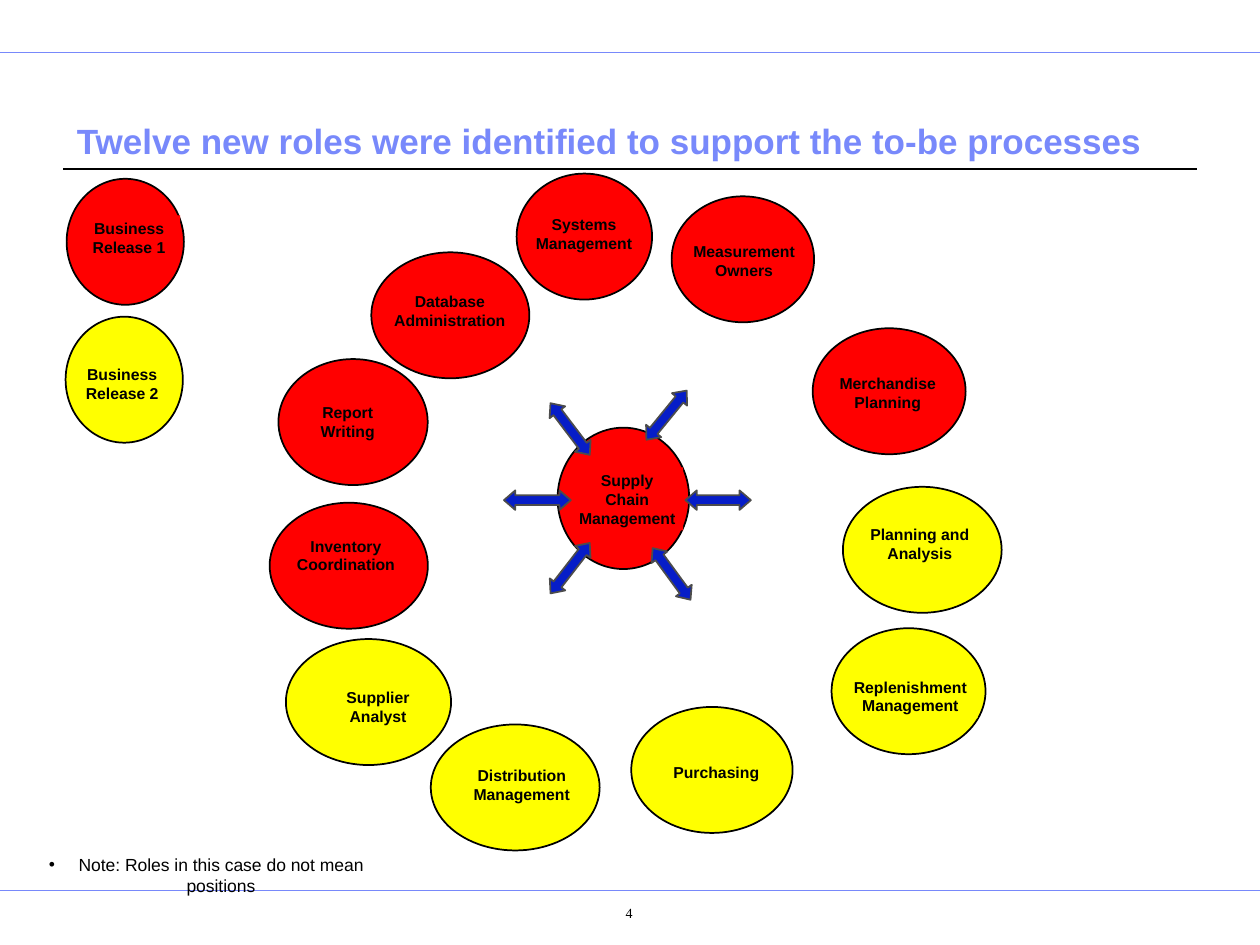
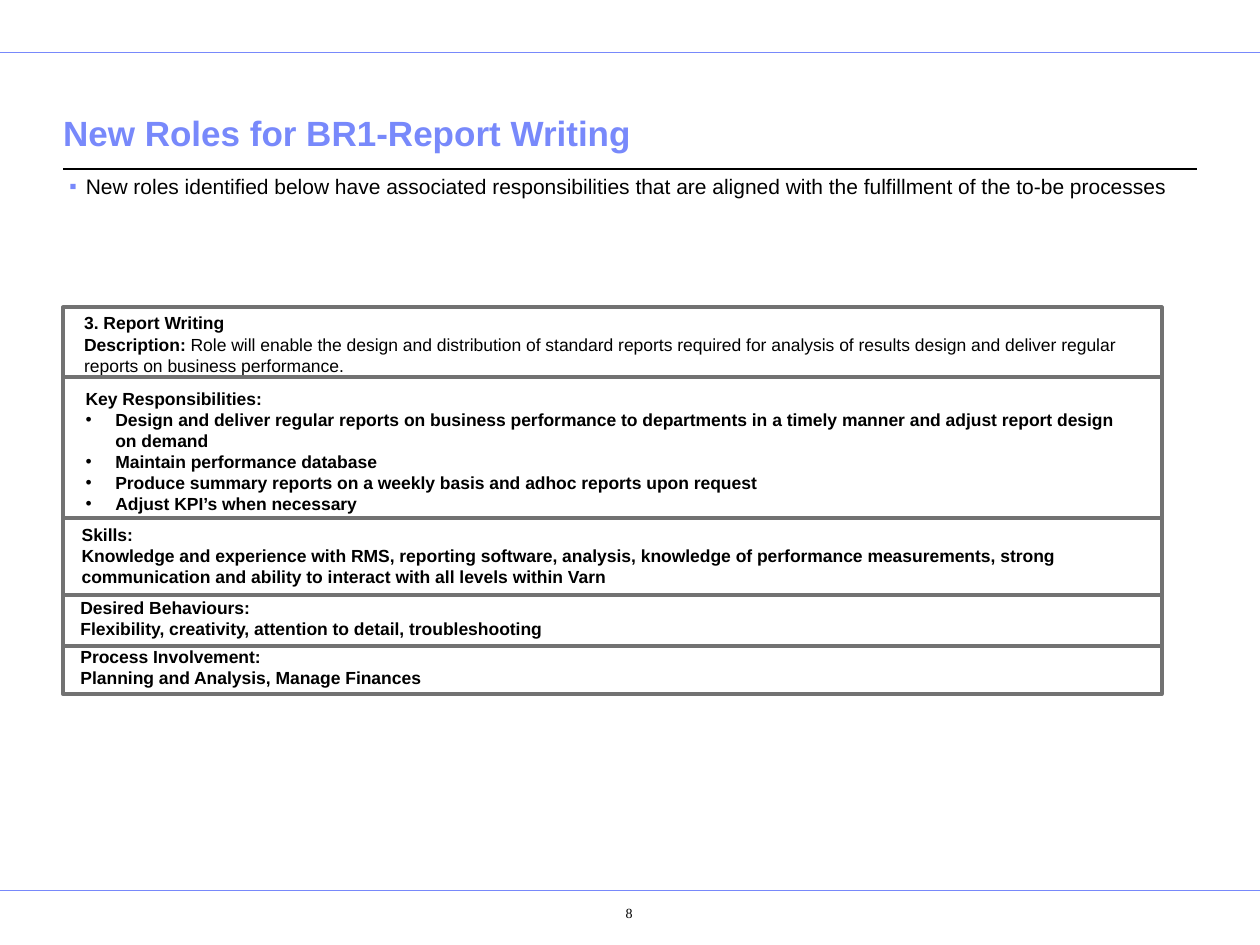
import math
from dataclasses import dataclass

import pptx
import pptx.dml.color
import pptx.enum.shapes
import pptx.enum.text
import pptx.oxml.ns
import pptx.util
from lxml import etree

Pt = pptx.util.Pt
ALIGN = pptx.enum.text.PP_ALIGN
ANCHOR = pptx.enum.text.MSO_ANCHOR
SHAPES = pptx.enum.shapes.MSO_SHAPE


@dataclass(frozen=True)
class Theme:
    accent: str = "7889FB"
    ink: str = "000000"
    release_1: str = "FF0000"
    release_2: str = "FFFF00"
    arrow: str = "061DC8"
    arrow_edge: str = "4C4C4C"
    panel_edge: str = "727272"
    font: str = "Arial"
    number_font: str = "Times New Roman"
    title_size: float = 20
    body_size: float = 12
    text_size: float = 10
    label_size: float = 9
    number_size: float = 8


THEME = Theme()
BULLET_INDENT = 17
LABEL_INSETS = (3.6, 1.8, 3.6, 1.8)
TEXT_INSETS = (7.2, 3.6, 7.2, 3.6)

# name, release colour, ellipse (left, top, width), label (left, top, width)
ROLES = [
    ("Measurement Owners", THEME.release_1, (383.8, 112.2, 81.4), (391.7, 136.1, 67)),
    ("Distribution Management", THEME.release_2, (246.2, 414, 96.5), (266.4, 435.6, 63.4)),
    ("Planning and Analysis", THEME.release_2, (481.7, 278.2, 90.7), (492.5, 298.1, 66.2)),
    ("Replenishment Management", THEME.release_2, (475.2, 359, 88), (481.7, 385.2, 77)),
    ("Purchasing", THEME.release_2, (360.7, 404, 92.2), (375.8, 434.2, 67)),
    ("Report Writing", THEME.release_1, (159.1, 205.2, 85.3), (173.5, 228.2, 50.4)),
    ("Systems Management", THEME.release_1, (295.2, 99.2, 77.4), (300.2, 121, 67)),
    ("Inventory Coordination", THEME.release_1, (154.1, 287.3, 90.4), (161.3, 304.6, 72.7)),
    ("Merchandise\nPlanning", THEME.release_1, (464.4, 187.6, 87.4), (474.5, 211.7, 65.5)),
    ("Database Administration", THEME.release_1, (212.2, 144.2, 90.3), (218.9, 164.9, 76.3)),
    ("Supplier Analyst", THEME.release_2, (163.4, 365.2, 94.4), (190.8, 391, 50.4)),
]
LEGEND = [
    ("Business Release 1", THEME.release_1, (38.1, 102.2, 67), (44.6, 123.1, 58.3)),
    ("Business Release 2", THEME.release_2, (37.5, 181, 67), (44.6, 206.6, 50.4)),
]
# the two tips of each double-headed arrow around the hub
ARROW_TIPS = [
    ((314.6, 230.4), (337, 259.9)),
    ((369.4, 251.3), (392.4, 223.2)),
    ((391.7, 285.8), (429.1, 285.8)),
    ((288, 285.8), (326.2, 285.8)),
    ((373, 313.2), (394.6, 342.7)),
    ((314.6, 339.1), (337, 310.3)),
]
# panel height, text box (left, top, width), paragraphs as (bulleted, runs of (text, bold))
ROLE_PANELS = [
    (39.6, (41, 175, 622.8), [
        (False, [("3. Report Writing", True)]),
        (False, [("Description: ", True),
                 ("Role will enable the design and distribution of standard reports required "
                  "for analysis of results design and deliver regular reports on business "
                  "performance.", False)]),
    ]),
    (80.6, (41.8, 218.2, 604.8), [
        (False, [("Key Responsibilities:", True)]),
        (True, [("Design and deliver regular reports on business performance to departments "
                 "in a timely manner and adjust report design on demand", True)]),
        (True, [("Maintain performance database", True)]),
        (True, [("Produce summary reports on a weekly basis and adhoc reports upon request", True)]),
        (True, [("Adjust KPI’s when necessary", True)]),
    ]),
    (43.9, (39.6, 295.9, 624.2), [
        (False, [("Skills:", True)]),
        (False, [("Knowledge and experience with RMS, reporting software, analysis, knowledge of "
                  "performance measurements, strong communication and ability to interact with "
                  "all levels within Varn", True)]),
    ]),
    (29.5, (38.9, 337.7, 345.6), [
        (False, [("Desired Behaviours:", True)]),
        (False, [("Flexibility, creativity, attention to detail, troubleshooting", True)]),
    ]),
    (27.4, (38.9, 365.8, 258.5), [
        (False, [("Process Involvement:", True)]),
        (False, [("Planning and Analysis, Manage Finances", True)]),
    ]),
]


def rgb(colour):
    return pptx.dml.color.RGBColor.from_string(colour)


def place(shape, left, top, width, height):
    shape.left, shape.top, shape.width, shape.height = map(Pt, (left, top, width, height))


def prepare_frame(shape, insets, anchor=ANCHOR.TOP):
    frame = shape.text_frame
    frame.word_wrap = True
    frame.auto_size = pptx.enum.text.MSO_AUTO_SIZE.NONE
    frame.vertical_anchor = anchor
    frame.margin_left, frame.margin_top, frame.margin_right, frame.margin_bottom = map(Pt, insets)
    return frame


def add_run(paragraph, text, size, bold=False, colour=THEME.ink, font=THEME.font):
    run = paragraph.add_run()
    run.text = text
    run.font.name = font
    run.font.size = Pt(size)
    run.font.bold = bold
    run.font.color.rgb = rgb(colour)


def set_indent(paragraph, left, first=0):
    properties = paragraph._p.get_or_add_pPr()
    properties.set("marL", str(Pt(left)))
    properties.set("indent", str(Pt(first)))
    return properties


def add_bullet(paragraph, character="•", colour=THEME.ink, indent=BULLET_INDENT):
    qn = pptx.oxml.ns.qn
    properties = set_indent(paragraph, indent, -indent)
    bullet_colour = etree.SubElement(properties, qn("a:buClr"))
    etree.SubElement(bullet_colour, qn("a:srgbClr"), val=colour)
    etree.SubElement(properties, qn("a:buFont"), typeface=THEME.font)
    etree.SubElement(properties, qn("a:buChar"), char=character)


def add_text_box(slide, box, insets=TEXT_INSETS):
    shape = slide.shapes.add_textbox(*map(Pt, box))
    return shape, prepare_frame(shape, insets)


def next_paragraph(frame, index):
    return frame.add_paragraph() if index else frame.paragraphs[0]


def style_shape(shape, fill, line, width):
    shape.shadow.inherit = False
    if fill:
        shape.fill.solid()
        shape.fill.fore_color.rgb = rgb(fill)
    else:
        shape.fill.background()
    shape.line.color.rgb = rgb(line)
    shape.line.width = Pt(width)


def add_rule(slide, left, right, top, colour, width):
    rule = slide.shapes.add_connector(
        pptx.enum.shapes.MSO_CONNECTOR.STRAIGHT, Pt(left), Pt(top), Pt(right), Pt(top))
    rule.line.color.rgb = rgb(colour)
    rule.line.width = Pt(width)
    etree.SubElement(rule._element.spPr, pptx.oxml.ns.qn("a:effectLst"))


def add_slide(presentation, layout_index, title, title_left, title_top, number):
    """Add a slide with the shared rules, title style and page number."""
    slide = presentation.slides.add_slide(presentation.slide_layouts[layout_index])
    for top in (30.2, 509):
        add_rule(slide, 0, 720, top, THEME.accent, 0.5)
    add_rule(slide, 36, 684, 96.5, THEME.ink, 0.75)

    place(slide.shapes.title, title_left, title_top, 648, 45.4)
    frame = prepare_frame(slide.shapes.title, (0, 3.6, 0, 3.6), ANCHOR.BOTTOM)
    frame.paragraphs[0].alignment = ALIGN.LEFT
    add_run(frame.paragraphs[0], title, THEME.title_size, True, THEME.accent)

    _, frame = add_text_box(slide, (307.4, 511.9, 82.8, 25.2), (11.5, 5, 7.2, 3.6))
    paragraph = frame.paragraphs[0]
    paragraph.alignment = ALIGN.CENTER
    set_indent(paragraph, BULLET_INDENT)
    add_run(paragraph, number, THEME.number_size, font=THEME.number_font)
    return slide


def add_role(slide, name, colour, ellipse, label, height=72, label_height=25.2):
    """Draw an ellipse with a filled label; each line of the name is a paragraph."""
    left, top, width = ellipse
    circle = slide.shapes.add_shape(SHAPES.OVAL, Pt(left), Pt(top), Pt(width), Pt(height))
    style_shape(circle, colour, THEME.ink, 1)
    if " " not in name and "\n" not in name:
        label_height = 14.4
    box, frame = add_text_box(slide, (*label, label_height), LABEL_INSETS)
    box.fill.solid()
    box.fill.fore_color.rgb = rgb(colour)
    for index, line in enumerate(name.split("\n")):
        paragraph = next_paragraph(frame, index)
        paragraph.alignment = ALIGN.CENTER
        add_run(paragraph, line, THEME.label_size, True)


def add_double_arrow(slide, start, end, head=6.5, head_half=5.6, shaft_half=2.8):
    length = math.dist(start, end)
    along_x, along_y = (end[0] - start[0]) / length, (end[1] - start[1]) / length
    side = [(head, head_half), (head, shaft_half),
            (length - head, shaft_half), (length - head, head_half)]
    outline = [(0, 0), *side, (length, 0), *((along, -across) for along, across in reversed(side))]
    points = [(Pt(start[0] + along * along_x - across * along_y),
               Pt(start[1] + along * along_y + across * along_x)) for along, across in outline]
    builder = slide.shapes.build_freeform(*points[0])
    builder.add_line_segments(points[1:], close=True)
    style_shape(builder.convert_to_shape(), THEME.arrow, THEME.arrow_edge, 1)


def add_role_panels(slide, left=36, top=175.7, width=627.8):
    for height, text_box, paragraphs in ROLE_PANELS:
        panel = slide.shapes.add_shape(SHAPES.RECTANGLE, Pt(left), Pt(top), Pt(width), Pt(height))
        style_shape(panel, None, THEME.panel_edge, 2.25)
        top += height
        _, frame = add_text_box(slide, (*text_box, height))
        for index, (bulleted, runs) in enumerate(paragraphs):
            paragraph = next_paragraph(frame, index)
            if bulleted:
                add_bullet(paragraph)
            for text, bold in runs:
                add_run(paragraph, text, THEME.text_size, bold)


def build_roles_slide(presentation):
    slide = add_slide(presentation, 5, "Twelve new roles were identified to support the to-be processes",
                      43.9, 50.4, "4")
    add_role(slide, "Supply\nChain\nManagement", THEME.release_1,
             (318.6, 244.4, 75.2), (326.4, 267.1, 64), height=80.8, label_height=36)
    for role in ROLES + LEGEND:
        add_role(slide, *role)
    for start, end in ARROW_TIPS:
        add_double_arrow(slide, start, end)

    _, frame = add_text_box(slide, (6.5, 484.6, 222.5, 31))
    paragraph = frame.paragraphs[0]
    paragraph.alignment = ALIGN.CENTER
    add_bullet(paragraph)
    add_run(paragraph, "Note: Roles in this case do not mean positions", THEME.text_size)


def build_report_writing_slide(presentation):
    slide = add_slide(presentation, 1, "New Roles for BR1-Report Writing", 36, 46.1, "8")
    body = slide.placeholders[1]
    place(body, 36, 95, 648, 396.7)
    paragraph = prepare_frame(body, (3.6,) * 4).paragraphs[0]
    add_bullet(paragraph, "▪", THEME.accent, 9.4)
    paragraph.line_spacing = 1.04
    paragraph.space_before = Pt(0)
    add_run(paragraph, "New roles identified below have associated responsibilities that are aligned "
            "with the fulfillment of the to-be processes", THEME.body_size)
    add_role_panels(slide)


def main():
    presentation = pptx.Presentation()
    presentation.slide_width, presentation.slide_height = Pt(720), Pt(540)
    build_roles_slide(presentation)
    build_report_writing_slide(presentation)
    presentation.save("out.pptx")


if __name__ == "__main__":
    main()
